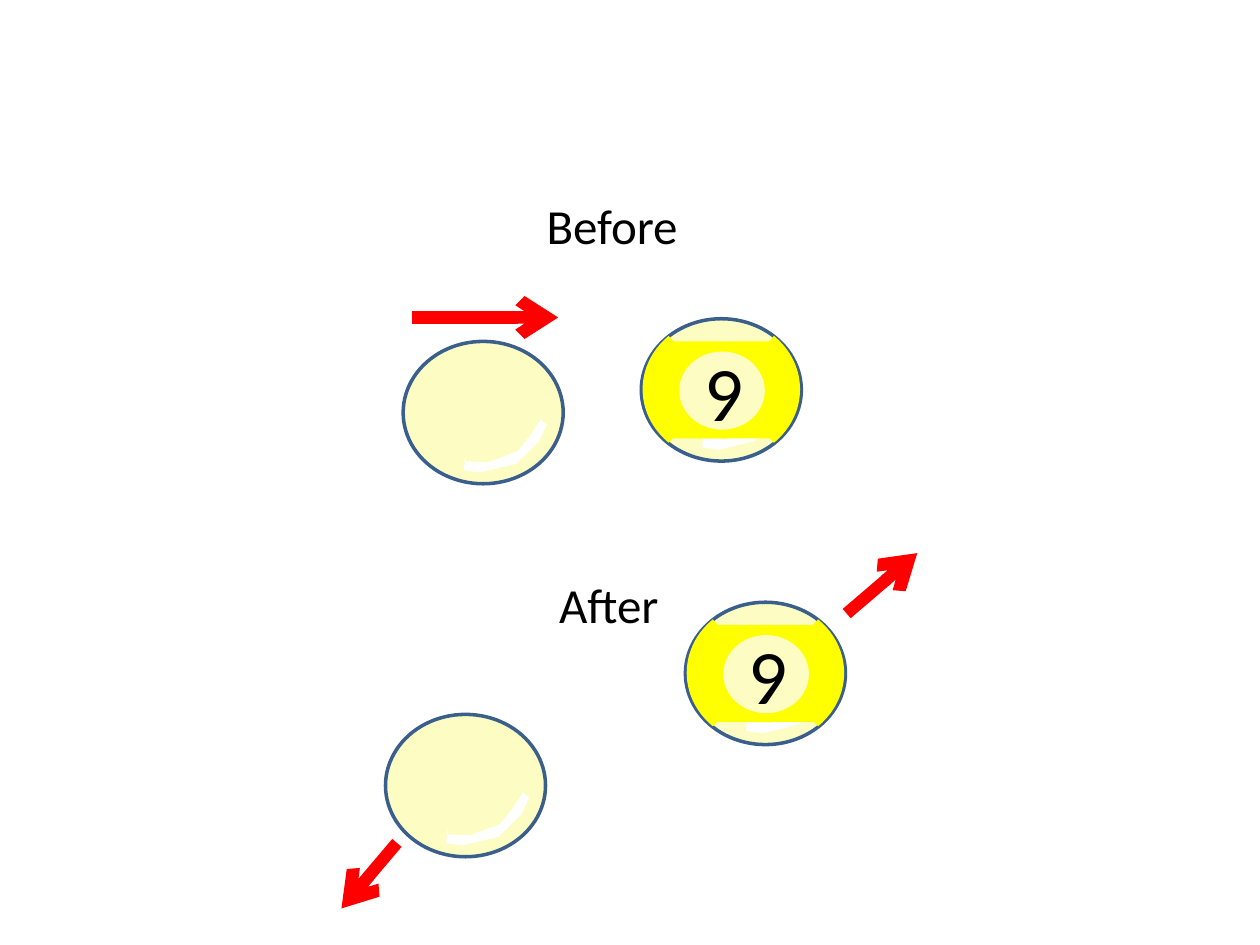
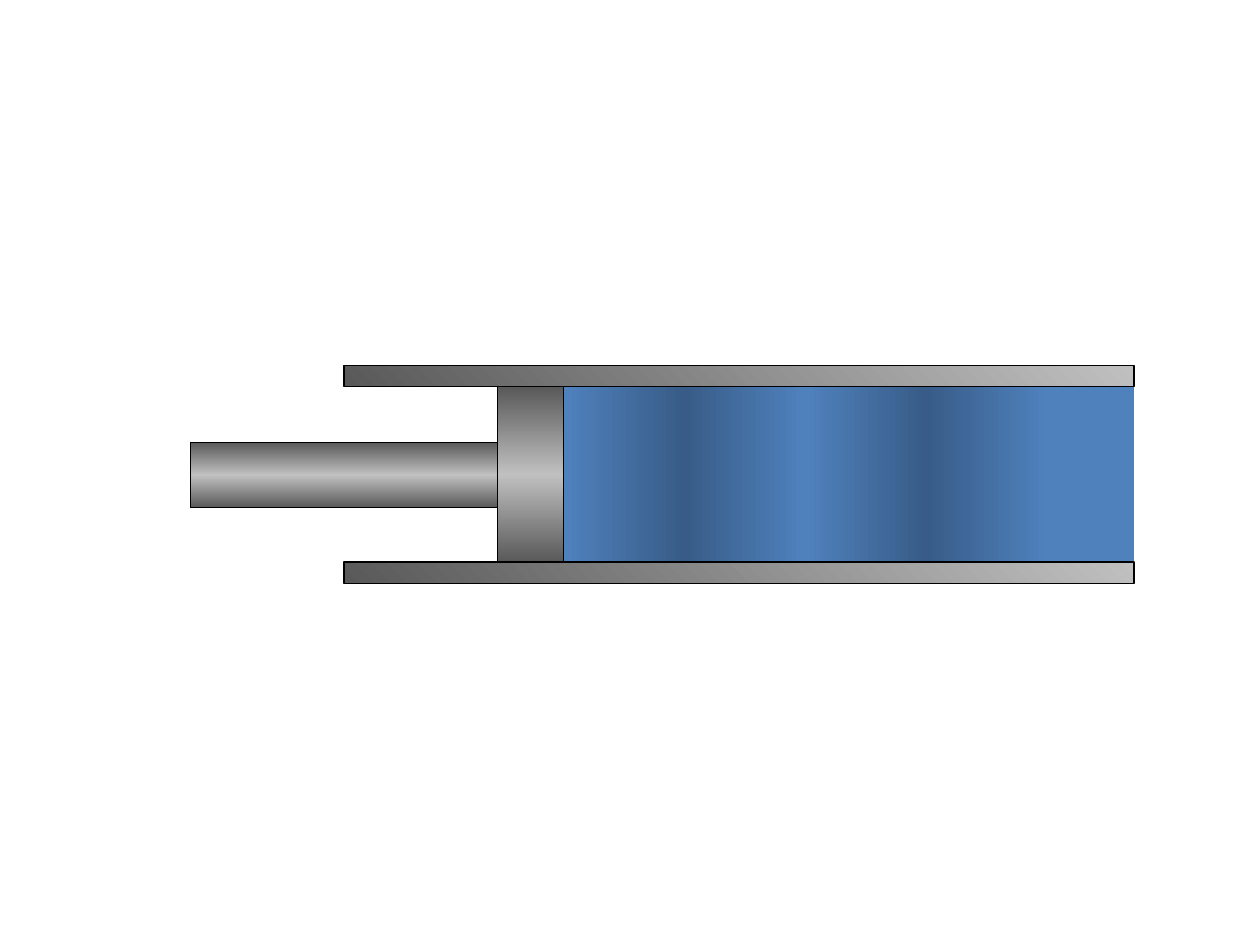
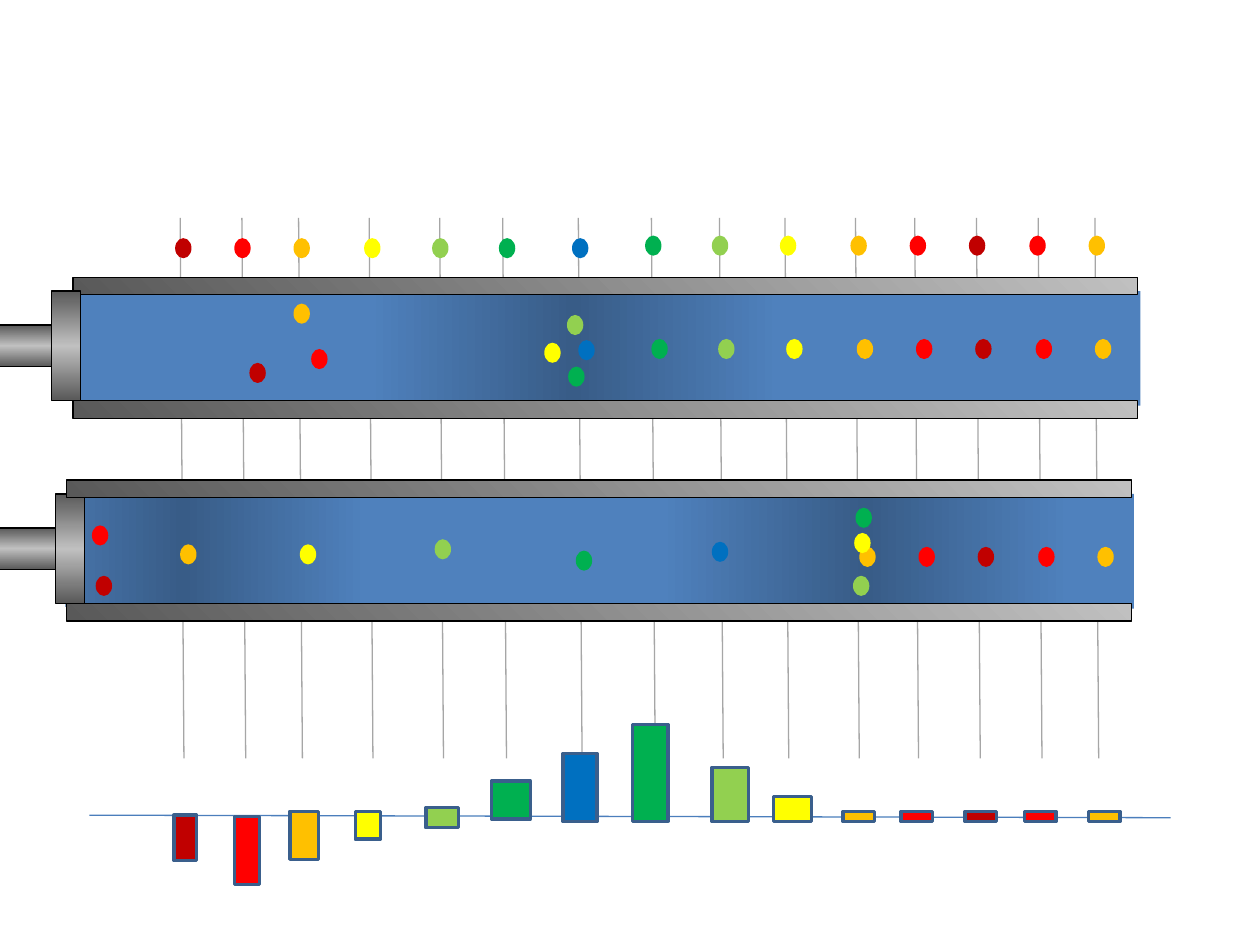
from lxml import etree
from pptx import Presentation
from pptx.dml.color import RGBColor
from pptx.enum import shapes, text
from pptx.oxml import ns
from pptx.util import Inches, Pt

BLACK, WHITE, RED = "000000", "FFFFFF", "FF0000"
IVORY, YELLOW = "FDFDC3", "FFFF00"
OUTLINE, AXIS, GUIDE = "3A5F8C", "4B7EBC", "A6A6A6"
FLUID, STEEL_DARK, STEEL_LIGHT = "4F81BD", "595959", "C0C0C0"
SHADE = 46275

WAVE = (0, [(FLUID, None), (FLUID, SHADE), (FLUID, None)])
WALL = (315, [(STEEL_DARK, None), (STEEL_LIGHT, None)])
ROD = (90, [(STEEL_DARK, None), (STEEL_LIGHT, None), (STEEL_DARK, None)])

RAMP = ["C00000", RED, "FFC000", YELLOW, "92D050", "00B050", "0070C0"]
PARTICLES = RAMP + RAMP[-2::-1] + RAMP[1:3]

GLEAM = [(0.48, 0.95), (0.67, 0.96), (0.91, 0.87), (1.02, 0.73),
         (1.09, 0.62), (1.14, 0.66), (1.08, 0.79), (0.9, 0.97),
         (0.61, 1.04), (0.48, 1.02), (0.5, 0.91)]

GUIDES = [1.43, 1.92, 2.37, 2.93, 3.49, 3.99, 4.59, 5.17,
          5.71, 6.23, 6.79, 7.26, 7.75, 8.24, 8.69]
REST = [(x, 1.89) for x in (1.39, 1.86, 2.33, 2.89, 3.43, 3.96, 4.54)]
REST += [(x, 1.87) for x in (5.12, 5.65, 6.19, 6.75, 7.22, 7.69, 8.17, 8.64)]
EARLY = [(1.98, 2.88), (2.47, 2.77), (2.33, 2.41), (4.32, 2.72),
         (4.5, 2.5), (4.51, 2.91), (4.59, 2.7)]
EARLY += [(x, 2.69) for x in (5.17, 5.7, 6.24, 6.8, 7.27, 7.74, 8.22, 8.69)]
LATE = [(0.76, 4.57), (0.73, 4.17), (1.43, 4.32), (2.38, 4.32),
        (3.45, 4.28), (4.57, 4.37), (5.65, 4.3), (6.79, 4.03),
        (6.77, 4.57), (6.78, 4.23)]
LATE += [(x, 4.34) for x in (6.82, 7.29, 7.76, 8.24, 8.71)]
BARS = [(1.38, 6.47, 0.18, 0.36), (1.86, 6.48, 0.2, 0.54),
        (2.3, 6.44, 0.23, 0.38), (2.82, 6.44, 0.2, 0.22),
        (3.38, 6.41, 0.26, 0.16), (3.9, 6.2, 0.31, 0.3),
        (4.47, 5.98, 0.27, 0.54), (5.02, 5.75, 0.28, 0.77),
        (5.65, 6.09, 0.29, 0.43), (6.14, 6.32, 0.3, 0.2)]
BARS += [(x, 6.44, 0.25, 0.08) for x in (6.69, 7.15, 7.66, 8.13, 8.64)]


def rgb(value):
    return RGBColor.from_string(value)


class Sketch:
    font = "Calibri"

    def __init__(self):
        self.deck = Presentation()
        self.deck.slide_width, self.deck.slide_height = Inches(10), Inches(7.5)

    def new_page(self):
        self.page = self.deck.slides.add_slide(self.deck.slide_layouts[6])

    def gradient(self, shape, angle, stops):
        shape.fill.gradient()
        fill = shape._element.spPr.find(ns.qn("a:gradFill"))
        stop_list = fill.find(ns.qn("a:gsLst"))
        for old in list(stop_list):
            stop_list.remove(old)
        for index, (value, shade) in enumerate(stops):
            position = index * 100000 // (len(stops) - 1)
            stop = etree.SubElement(stop_list, ns.qn("a:gs"), pos=str(position))
            color = etree.SubElement(stop, ns.qn("a:srgbClr"), val=value)
            if shade:
                etree.SubElement(color, ns.qn("a:shade"), val=str(shade))
        fill.find(ns.qn("a:lin")).set("ang", str(angle * 60000))

    def paint(self, shape, fill, line=None, weight=0.75):
        shape.shadow.inherit = False
        if isinstance(fill, tuple):
            self.gradient(shape, *fill)
        else:
            shape.fill.solid()
            shape.fill.fore_color.rgb = rgb(fill)
        if line:
            shape.line.color.rgb = rgb(line)
            shape.line.width = Pt(weight)
        else:
            shape.line.fill.background()
        return shape

    def shape(self, kind, bounds, fill, line=None, weight=0.75):
        shape = self.page.shapes.add_shape(kind, *map(Inches, bounds))
        return self.paint(shape, fill, line, weight)

    def rect(self, bounds, fill, line=None, weight=0.75):
        return self.shape(shapes.MSO_SHAPE.RECTANGLE, bounds, fill, line, weight)

    def oval(self, bounds, fill, line=None, weight=0.75):
        return self.shape(shapes.MSO_SHAPE.OVAL, bounds, fill, line, weight)

    def arc(self, bounds, fill, mirrored):
        arc = self.shape(shapes.MSO_SHAPE.ARC, bounds, fill)
        arc.adjustments[0], arc.adjustments[1] = 188.8, 27.26
        if mirrored:
            arc._element.spPr.xfrm.set("flipH", "1")

    def outline(self, points, fill):
        corners = [(Inches(x), Inches(y)) for x, y in points]
        builder = self.page.shapes.build_freeform(*corners[0])
        builder.add_line_segments(corners[1:])
        self.paint(builder.convert_to_shape(), fill)

    def line(self, start, end, color, weight=0.75, arrow=False):
        line = self.page.shapes.add_connector(
            shapes.MSO_CONNECTOR.STRAIGHT, *map(Inches, start + end))
        line.line.color.rgb = rgb(color)
        line.line.width = Pt(weight)
        properties = line._element.spPr
        if arrow:
            etree.SubElement(properties.find(ns.qn("a:ln")), ns.qn("a:tailEnd"), type="arrow")
        etree.SubElement(properties, ns.qn("a:effectLst"))

    def add_span(self, frame, words, size):
        span = frame.paragraphs[0].add_run()
        span.text = words
        span.font.name, span.font.size = self.font, Pt(size)
        span.font.color.rgb = rgb(BLACK)

    def label(self, bounds, words):
        box = self.page.shapes.add_textbox(*map(Inches, bounds))
        box.text_frame.word_wrap = False
        box.text_frame.auto_size = text.MSO_AUTO_SIZE.SHAPE_TO_FIT_TEXT
        self.add_span(box.text_frame, words, 28)

    def ball(self, x, y):
        self.oval((x, y, 1.27, 1.13), IVORY, OUTLINE, 2)
        self.outline([(x + dx, y + dy) for dx, dy in GLEAM], WHITE)

    def striped_ball(self, x, y, number):
        self.ball(x, y)
        self.rect((x + 0.19, y + 0.18, 0.87, 0.77), YELLOW)
        for mirrored in (False, True):
            self.arc((x + 0.01, y - 0.01, 1.25, 1.14), YELLOW, mirrored)
        spot = self.oval((x + 0.3, y + 0.26, 0.68, 0.62), IVORY)
        spot.text_frame.vertical_anchor = text.MSO_ANCHOR.MIDDLE
        spot.text_frame.paragraphs[0].alignment = text.PP_ALIGN.CENTER
        self.add_span(spot.text_frame, number, 44)

    def walls(self, x, tops, width, height):
        for top in tops:
            self.rect((x, top, width, height), WALL, BLACK)

    def piston(self, rod, head):
        for bounds in (rod, head):
            self.rect(bounds, ROD, BLACK)

    def dots(self, places):
        for (x, y), color in reversed(list(zip(places, PARTICLES))):
            self.oval((x, y, 0.13, 0.16), color)


def draw_collision(sketch):
    sketch.new_page()
    sketch.ball(3.2, 2.71)
    sketch.striped_ball(5.09, 2.53, "9")
    sketch.label((4.24, 1.5, 1.36, 0.57), "Before")
    sketch.label((4.34, 4.51, 1.03, 0.57), "After")
    sketch.ball(3.06, 5.67)
    sketch.striped_ball(5.44, 4.78, "9")
    for start, end in [((3.27, 2.52), (4.43, 2.52)),
                       ((6.72, 4.87), (7.28, 4.39)),
                       ((3.15, 6.69), (2.71, 7.21))]:
        sketch.line(start, end, RED, 7, arrow=True)


def draw_piston(sketch):
    sketch.new_page()
    for x in (4.47, 6.39):
        sketch.rect((x, 3.07, 1.92, 1.39), WAVE)
    sketch.rect((8.3, 3.07, 0.7, 1.39), FLUID)
    sketch.walls(2.73, (2.9, 4.46), 6.27, 0.17)
    sketch.piston((1.51, 3.51, 2.44, 0.52), (3.95, 3.07, 0.52, 1.39))


def draw_sound_wave(sketch):
    sketch.new_page()
    for x in GUIDES:
        sketch.line((x, 1.73), (x + 0.03, 6.02), GUIDE)

    sketch.rect((0.64, 2.31, 8.41, 0.91), FLUID)
    sketch.rect((2.92, 2.3, 3.27, 0.91), WAVE)
    sketch.walls(0.58, (2.2, 3.18), 8.45, 0.14)
    sketch.piston((-0.68, 2.58, 1.09, 0.33), (0.41, 2.31, 0.23, 0.87))

    sketch.rect((2.77, 3.94, 3.17, 0.91), FLUID)
    sketch.rect((0, 3.92, 2.91, 0.9), WAVE)
    sketch.rect((6.12, 3.92, 2.88, 0.91), FLUID)
    sketch.rect((5.24, 3.91, 3.26, 0.91), WAVE)
    sketch.rect((0, 3.77, 0.52, 1.09), WHITE)
    sketch.piston((-0.65, 4.19, 1.09, 0.33), (0.44, 3.92, 0.23, 0.87))
    sketch.walls(0.53, (3.81, 4.79), 8.45, 0.14)

    for places in (REST, EARLY, LATE):
        sketch.dots(places)
    sketch.line((0.71, 6.47), (9.29, 6.49), AXIS)
    for bounds, color in zip(BARS, PARTICLES):
        sketch.rect(bounds, color, OUTLINE, 2)


def main():
    sketch = Sketch()
    draw_collision(sketch)
    draw_piston(sketch)
    draw_sound_wave(sketch)
    sketch.deck.save("out.pptx")


if __name__ == "__main__":
    main()
